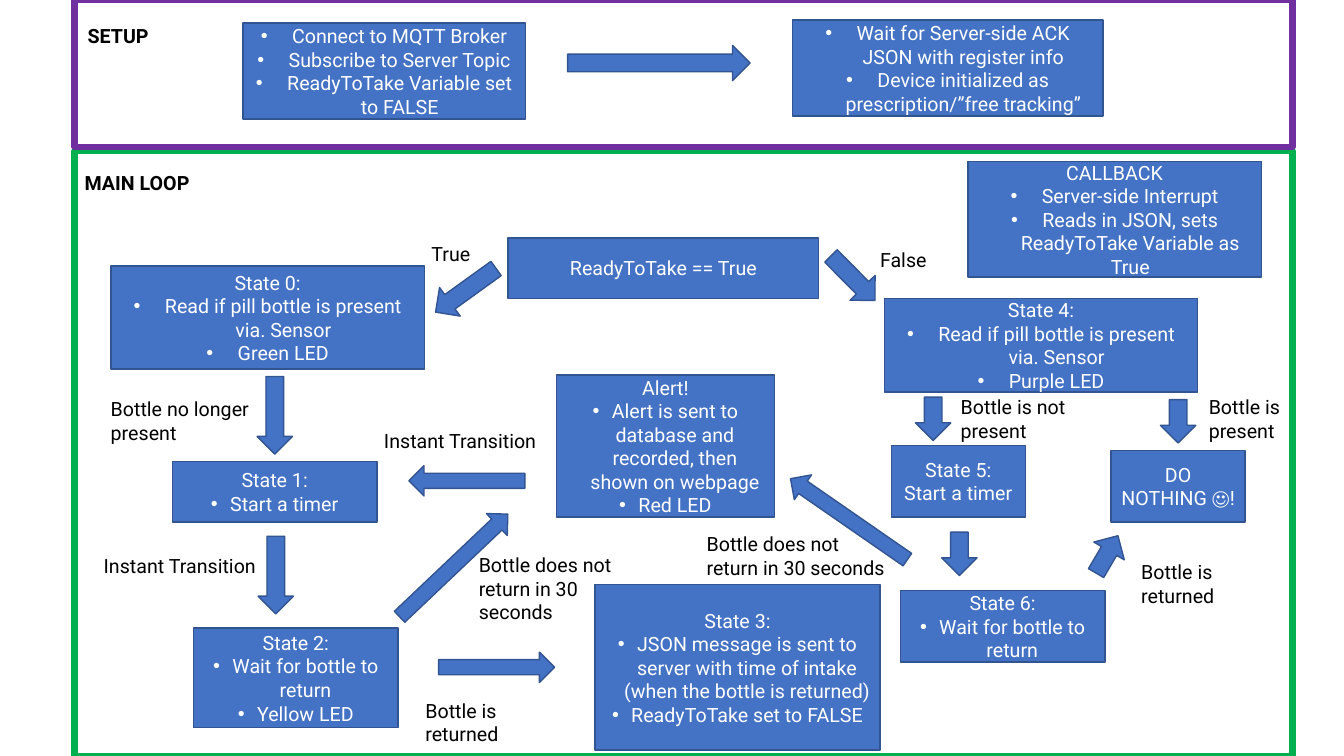
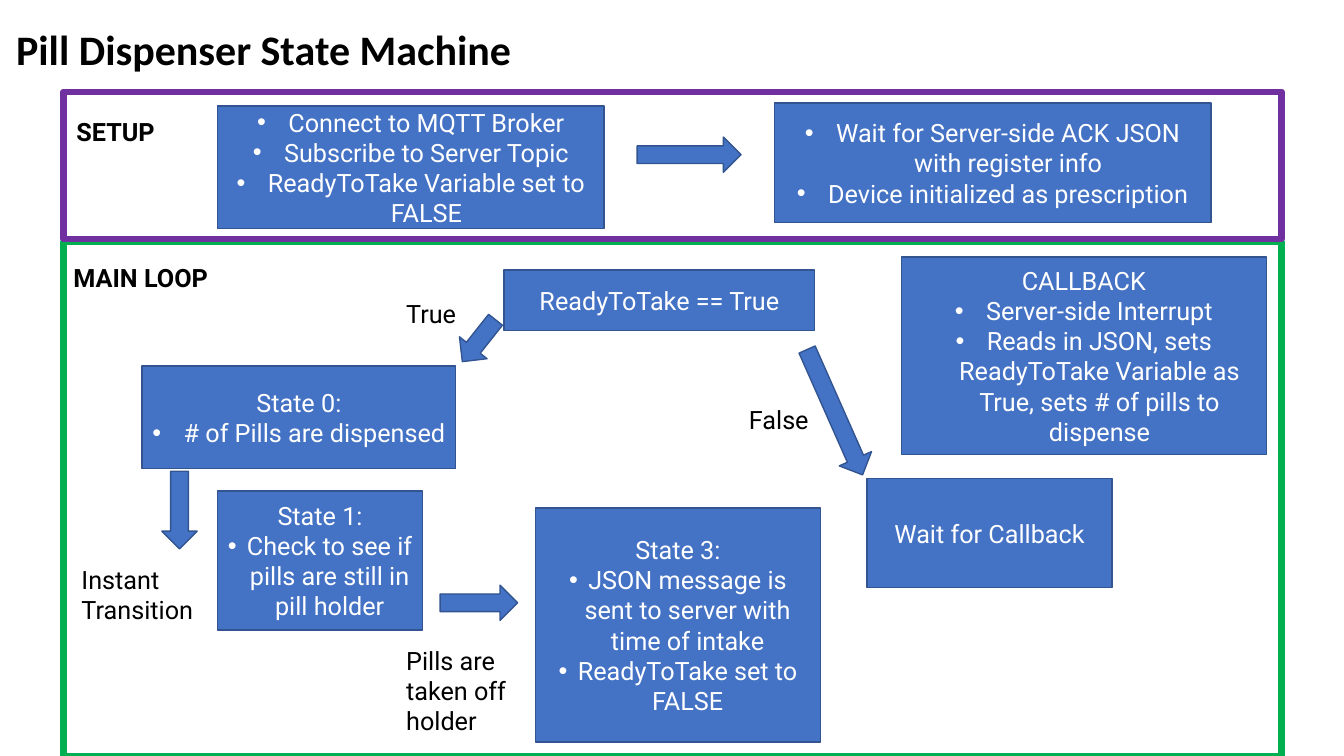
from lxml.etree import SubElement
from pptx import Presentation
from pptx.dml.color import RGBColor
from pptx.enum.shapes import MSO_SHAPE as Preset
from pptx.enum.text import MSO_ANCHOR as Anchor, MSO_AUTO_SIZE as AutoSize, PP_ALIGN as Align
from pptx.oxml.ns import qn
from pptx.util import Pt

PX = 9144  # 100 px to the inch
SLIDE_W, SLIDE_H = 1333, 750
BLUE = RGBColor(0x44, 0x72, 0xC4)
DARK_BLUE = RGBColor(0x32, 0x54, 0x91)
GREEN = RGBColor(0x00, 0xB0, 0x50)
PURPLE = RGBColor(0x70, 0x30, 0xA0)
WHITE = RGBColor(0xFF, 0xFF, 0xFF)
BLACK = RGBColor(0, 0, 0)

FRAME_W, SETUP_H = 1208, 146
WIDE, NARROW = 31, 19  # bullet indents
STATE_W, TEST_W, FINAL_W, STEP_W, SMALL_W = 311, 308, 283, 203, 133
STATE_H, SETUP_BOX_H, STEP_H, TEST_H = 102, 95, 71, 60
LINE_W, PAIR_W, NOTE_W = 281, 203, 145  # label widths
THICK, THIN = 35, 30
LONG, SHORT, SIDE = (77, THICK), (43, THICK), (115, THIN)  # arrow sizes
RIGHT, DOWN, LEFT = 0, 90, 180

# boxes: left, top, width, height, plain lines, bullet indent, bullets
# links: from box, to box, direction, arrow size, shift off the target's middle
# slants: centre x, centre y, arrow size, rotation
# labels: left, top, width, text
SLIDES = [
    {
        "title": None,
        "size": 14,
        "frames": (74, 0, 150),
        "boxes": {
            "connect": (241, 23, 280, SETUP_BOX_H, [], WIDE, [
                "Connect to MQTT Broker", "Subscribe to Server Topic",
                "ReadyToTake Variable set to FALSE"]),
            "register": (786, 20, TEST_W, SETUP_BOX_H, [], WIDE, [
                "Wait for Server-side ACK JSON with register info",
                "Device initialized as prescription/”free tracking”"]),
            "callback": (960, 160, 291, 115, ["CALLBACK"], WIDE, [
                "Server-side Interrupt",
                "Reads in JSON, sets ReadyToTake Variable as True"]),
            "test": (504, 236, TEST_W, TEST_H, ["ReadyToTake == True"], WIDE, []),
            "state 0": (110, 264, STATE_W, STATE_H, ["State 0:"], WIDE, [
                "Read if pill bottle is present via. Sensor", "Green LED"]),
            "state 1": (171, 458, STEP_W, TEST_H, ["State 1:"], NARROW, [
                "Start a timer"]),
            "state 2": (192, 623, STEP_W, 99, ["State 2:"], NARROW, [
                "Wait for bottle to return", "Yellow LED"]),
            "alert": (552, 372, 216, 141, ["Alert!"], NARROW, [
                "Alert is sent to database and recorded, then shown on webpage",
                "Red LED"]),
            "state 3": (590, 580, FINAL_W, 164, ["State 3:"], NARROW, [
                "JSON message is sent to server with time of intake "
                "(when the bottle is returned)", "ReadyToTake set to FALSE"]),
            "state 4": (877, 296, STATE_W, 93, ["State 4:"], WIDE, [
                "Read if pill bottle is present via. Sensor", "Purple LED"]),
            "state 5": (884, 442, SMALL_W, STEP_H,
                        ["State 5:", "Start a timer"], NARROW, []),
            "nothing": (1102, 447, SMALL_W, STEP_H, ["DO NOTHING ☺!"], NARROW, []),
            "state 6": (893, 586, STEP_W, STEP_H, ["State 6:"], NARROW, [
                "Wait for bottle to return"]),
        },
        "links": [
            ("connect", "register", RIGHT, (181, THICK), -5),
            ("state 0", "state 1", DOWN, LONG, 0),
            ("state 1", "state 2", DOWN, LONG, -20),
            ("alert", "state 1", LEFT, SIDE, -11),
            ("state 2", "state 3", RIGHT, SIDE, 0),
            ("state 4", "state 5", DOWN, SHORT, -25),
            ("state 4", "nothing", DOWN, SHORT, 0),
            ("state 5", "state 6", DOWN, SHORT, -43),
        ],
        "slants": [
            (462, 288, (74, THICK), 144.2),
            (846, 276, (62, THICK), 45.3),
            (450, 561, (148, THIN), 316.5),
            (1098, 550, SHORT, 300.3),
            (842, 515, (141, THIN), 214.7),
        ],
        "labels": [
            (418, 235, NOTE_W, "True"),
            (863, 241, NOTE_W, "False"),
            (100, 389, PAIR_W, "Bottle no longer present"),
            (93, 545, LINE_W, "Instant Transition"),
            (371, 421, LINE_W, "Instant Transition"),
            (465, 544, 188, "Bottle does not return in 30 seconds"),
            (691, 523, PAIR_W, "Bottle does not return in 30 seconds"),
            (412, 688, NOTE_W, "Bottle is returned"),
            (1122, 551, NOTE_W, "Bottle is returned"),
            (943, 387, NOTE_W, "Bottle is not present"),
            (1189, 387, NOTE_W, "Bottle is present"),
        ],
    },
    {
        "title": "Pill Dispenser State Machine",
        "size": 18,
        "frames": (63, 91, 240),
        "boxes": {
            "connect": (216, 105, 383, 122, [], WIDE, [
                "Connect to MQTT Broker", "Subscribe to Server Topic",
                "ReadyToTake Variable set to FALSE"]),
            "register": (768, 102, 433, 119, [], WIDE, [
                "Wait for Server-side ACK JSON with register info",
                "Device initialized as prescription"]),
            "callback": (894, 255, 362, 196, ["CALLBACK"], WIDE, [
                "Server-side Interrupt",
                "Reads in JSON, sets ReadyToTake Variable as True, "
                "sets # of pills to dispense"]),
            "test": (500, 268, TEST_W, TEST_H, ["ReadyToTake == True"], WIDE, []),
            "state 0": (141, 363, STATE_W, STATE_H, ["State 0:"], WIDE, [
                "# of Pills are dispensed"]),
            "state 1": (216, 487, STEP_W, 138, ["State 1:"], NARROW, [
                "Check to see if pills are still in pill holder"]),
            "state 3": (531, 504, FINAL_W, 232, ["State 3:"], NARROW, [
                "JSON message is sent to server with time of intake",
                "ReadyToTake set to FALSE"]),
            "wait": (860, 475, 243, 108, ["Wait for Callback"], WIDE, []),
        },
        "links": [
            ("connect", "register", RIGHT, (103, THICK), -8),
            ("state 1", "state 3", RIGHT, LONG, -22),
        ],
        "slants": [
            (475, 338, (53, THICK), 128.4),
            (828, 409, (136, THICK), 66.1),
            (178, 506, LONG, DOWN),
        ],
        "labels": [
            (393, 291, NOTE_W, "True"),
            (733, 396, NOTE_W, "False"),
            (71, 555, NOTE_W, "Instant Transition"),
            (393, 635, NOTE_W, "Pills are taken off holder"),
        ],
    },
]


def emu(rect):
    return [round(n * PX) for n in rect]


def style(paragraph, size, color, align=Align.LEFT, bold=False, font="Roboto"):
    paragraph.alignment = align
    for name, value in {"name": font, "size": Pt(size), "bold": bold}.items():
        setattr(paragraph.font, name, value)
    paragraph.font.color.rgb = color


def add_bullet(paragraph, indent):
    props = paragraph._p.get_or_add_pPr()
    props.set("marL", str(indent * PX))
    props.set("indent", str(-indent * PX))
    # the bullet must stand before the default run properties
    font = SubElement(props, qn("a:buFont"), typeface="Arial")
    mark = SubElement(props, qn("a:buChar"), char="•")
    props.insert(0, font)
    font.addnext(mark)


def add_figure(slide, preset, rect, fill=BLUE, line=DARK_BLUE, weight=1):
    figure = slide.shapes.add_shape(preset, *emu(rect))
    figure.shadow.inherit = False
    if fill is None:
        figure.fill.background()
    else:
        figure.fill.solid()
        figure.fill.fore_color.rgb = fill
    figure.line.color.rgb = line
    figure.line.width = Pt(weight)
    return figure


def add_box(slide, size, left, top, width, height, lines, indent, bullets):
    frame = add_figure(slide, Preset.RECTANGLE, (left, top, width, height)).text_frame
    frame.word_wrap = True
    frame.vertical_anchor = Anchor.MIDDLE
    for i, text in enumerate(lines + bullets):
        paragraph = frame.add_paragraph() if i else frame.paragraphs[0]
        paragraph.text = text
        style(paragraph, size, WHITE, Align.CENTER)
        if i >= len(lines):
            add_bullet(paragraph, indent)


def add_label(slide, size, left, top, width, text, bold=False):
    frame = slide.shapes.add_textbox(*emu((left, top, width, 2 * size))).text_frame
    frame.word_wrap = True
    frame.auto_size = AutoSize.SHAPE_TO_FIT_TEXT
    frame.text = text
    style(frame.paragraphs[0], size, BLACK, bold=bold)


def add_arrow(slide, x, y, arrow_size, rotation):
    length, thickness = arrow_size
    rect = (x - length / 2, y - thickness / 2, length, thickness)
    add_figure(slide, Preset.RIGHT_ARROW, rect).rotation = rotation


def link_boxes(slide, source, target, direction, arrow_size, shift):
    """Put an arrow halfway across the gap between two boxes."""
    axis = 1 if direction == DOWN else 0
    first, second = sorted((source, target), key=lambda box: box[axis])
    centre = [target[i] + target[i + 2] / 2 + shift for i in (0, 1)]
    centre[axis] = (first[axis] + first[axis + 2] + second[axis]) / 2
    add_arrow(slide, *centre, arrow_size, direction)


def add_frames(slide, size, left, setup, main_loop):
    """Outline the main loop and the setup, each with its heading."""
    for name, top, height, color, dx, dy in [
        ("MAIN LOOP", main_loop, SLIDE_H - main_loop, GREEN, 0, 15),
        ("SETUP", setup, SETUP_H, PURPLE, 3, 19),
    ]:
        add_figure(slide, Preset.RECTANGLE, (left, top, FRAME_W, height), None, color, 4.5)
        add_label(slide, size, left + dx, top + dy, LINE_W, name, bold=True)


def set_title(slide, text):
    title = slide.shapes.title
    title.left, title.top, title.width, title.height = emu((6, 18, 582, 61))
    frame = title.text_frame
    frame.text = text
    frame.auto_size = AutoSize.NONE
    frame.vertical_anchor = Anchor.TOP
    style(frame.paragraphs[0], 30, BLACK, bold=True, font="Calibri")


def main():
    deck = Presentation()
    deck.slide_width, deck.slide_height = emu((SLIDE_W, SLIDE_H))
    title_only, blank = deck.slide_layouts[5], deck.slide_layouts[6]
    for content in SLIDES:
        title, size, boxes = content["title"], content["size"], content["boxes"]
        slide = deck.slides.add_slide(title_only if title else blank)
        if title:
            set_title(slide, title)
        add_frames(slide, size, *content["frames"])
        for box in boxes.values():
            add_box(slide, size, *box)
        for source, target, *arrow in content["links"]:
            link_boxes(slide, boxes[source], boxes[target], *arrow)
        for slant in content["slants"]:
            add_arrow(slide, *slant)
        for label in content["labels"]:
            add_label(slide, size, *label)
    deck.save("out.pptx")


if __name__ == "__main__":
    main()
